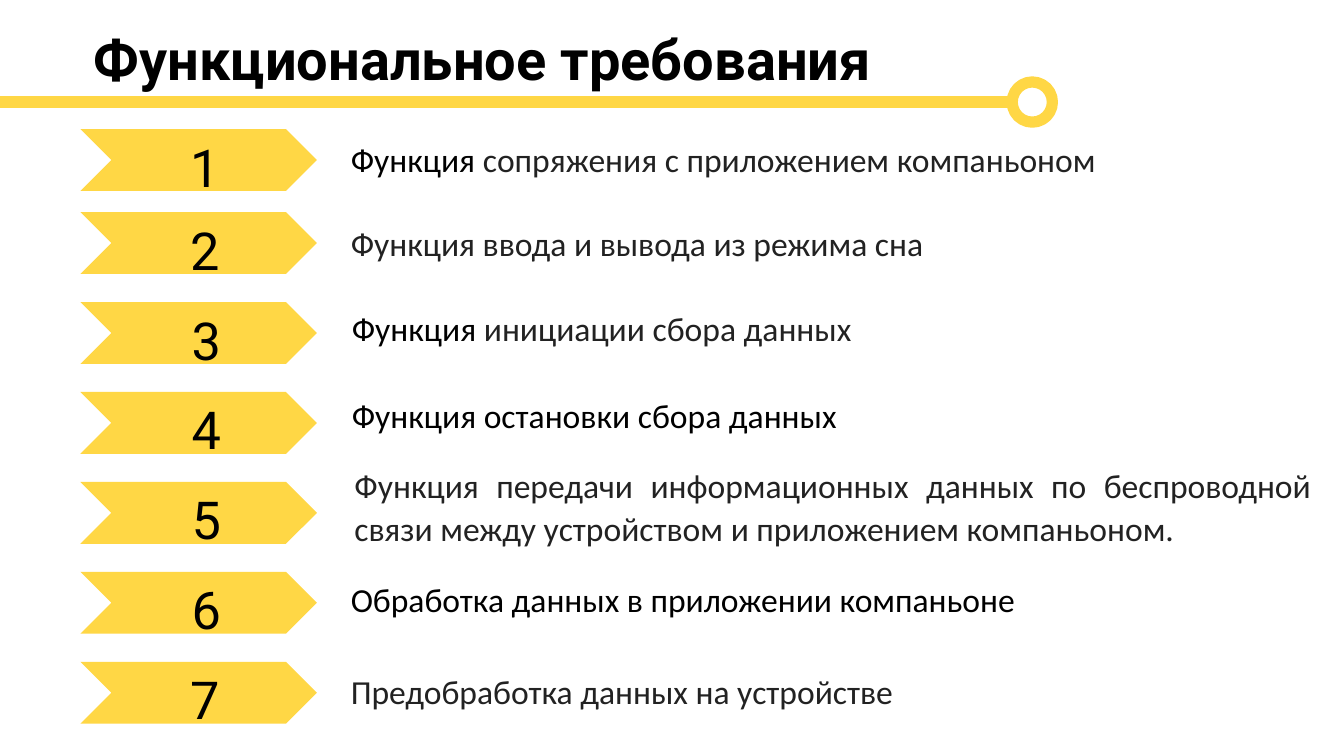
from lxml import etree
from pptx import Presentation
from pptx.dml.color import RGBColor
from pptx.enum import shapes, text
from pptx.oxml.ns import qn
from pptx.util import Cm, Pt

COLORS = {"yellow": "FFD745", "black": "000000", "gray": "222222"}

# Text top, left and width in cm, then the coloured parts of the requirement
REQUIREMENTS = [
    (2.44, 6.38, 16.28, [("Функция ", "black"),
                         ("сопряжения с приложением компаньоном", "gray")]),
    (4.04, 6.38, 13.31, [("Функция ввода и вывода из режима сна", "gray")]),
    (5.64, 6.4, 13.77, [("Функция ", "black"),
                        ("инициации сбора данных", "gray")]),
    (7.29, 6.4, 14.2, [("Функция остановки сбора данных", "black")]),
    (8.61, 6.45, 18.59, [("Функция передачи информационных данных по беспроводной "
                          "связи между устройством и приложением компаньоном.", "gray")]),
    (10.77, 6.38, 13.89, [("Обработка данных в приложении компаньоне", "black")]),
    (12.5, 6.38, 14.66, [("Предобработка данных на устройстве", "gray")]),
]


def style(span, font, size, color):
    span.font.name = font
    span.font.size = Pt(size)
    span.font.color.rgb = RGBColor.from_string(COLORS[color])


def add_line(page, left, top, width, height, parts, font, size, align):
    """Add a wrapped text box with one paragraph of coloured parts."""
    box = page.shapes.add_textbox(Cm(left), Cm(top), Cm(width), Cm(height))
    box.text_frame.word_wrap = True
    para = box.text_frame.paragraphs[0]
    para.alignment = align
    para.line_spacing = 1.07
    for words, color in parts:
        span = para.add_run()
        span.text = words
        style(span, font, size, color)
    return para


deck = Presentation()
deck.slide_width, deck.slide_height = Cm(25.4), Cm(14.29)
page = deck.slides.add_slide(deck.slide_layouts[5])
yellow = RGBColor.from_string(COLORS["yellow"])

title = page.shapes.title
title.left, title.top, title.width, title.height = Cm(1.52), Cm(0.3), Cm(18.77), Cm(1.6)
title.text_frame.text = "Функциональное требования"
title.text_frame.auto_size = text.MSO_AUTO_SIZE.NONE
title.text_frame.vertical_anchor = text.MSO_ANCHOR.MIDDLE
heading = title.text_frame.paragraphs[0]
heading.alignment = text.PP_ALIGN.LEFT
style(heading.runs[0], "Roboto", 30, "black")
heading.runs[0].font.bold = True

rule = page.shapes.add_connector(shapes.MSO_CONNECTOR.STRAIGHT,
                                 Cm(-0.08), Cm(1.93), Cm(19.13), Cm(1.93))
etree.SubElement(rule.line._get_or_add_ln().getparent(), qn("a:effectLst"))
ring = page.shapes.add_shape(shapes.MSO_SHAPE.OVAL, Cm(19.13), Cm(1.55), Cm(0.76), Cm(0.76))
ring.shadow.inherit = False
ring.fill.background()
for stroke in (rule.line, ring.line):
    stroke.color.rgb = yellow
    stroke.width = Pt(6)

for number, (top, left, width, parts) in enumerate(REQUIREMENTS, 1):
    arrow_top = 2.44 if number == 1 else 4.01 + 1.7 * (number - 2)
    arrow = page.shapes.add_shape(shapes.MSO_SHAPE.CHEVRON,
                                  Cm(1.52), Cm(arrow_top), Cm(4.47), Cm(1.17))
    arrow.shadow.inherit = False
    arrow.fill.solid()
    arrow.fill.fore_color.rgb = yellow
    arrow.line.fill.background()

    number_left, number_width = (2.74, 2.26) if number in (1, 2, 7) else (2.31, 3.18)
    add_line(page, number_left, arrow_top - 0.1, number_width, 1.09,
             [(str(number), "black")], "Roboto", 28, text.PP_ALIGN.CENTER)
    requirement = add_line(page, left, top, width, 0.81, parts,
                           "Calibri", 18, text.PP_ALIGN.JUSTIFY)
    requirement.space_after = Pt(8)

deck.save("out.pptx")
